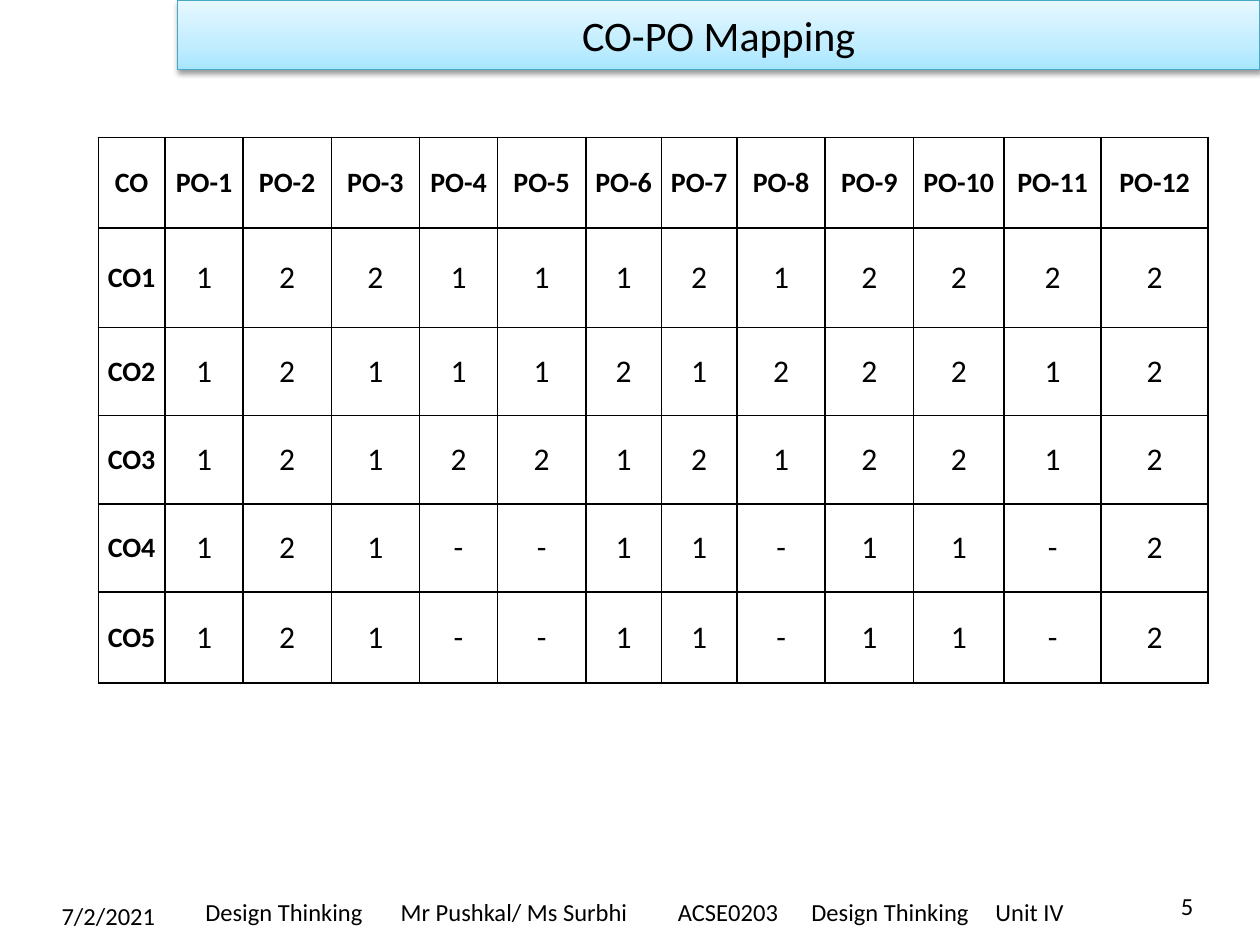
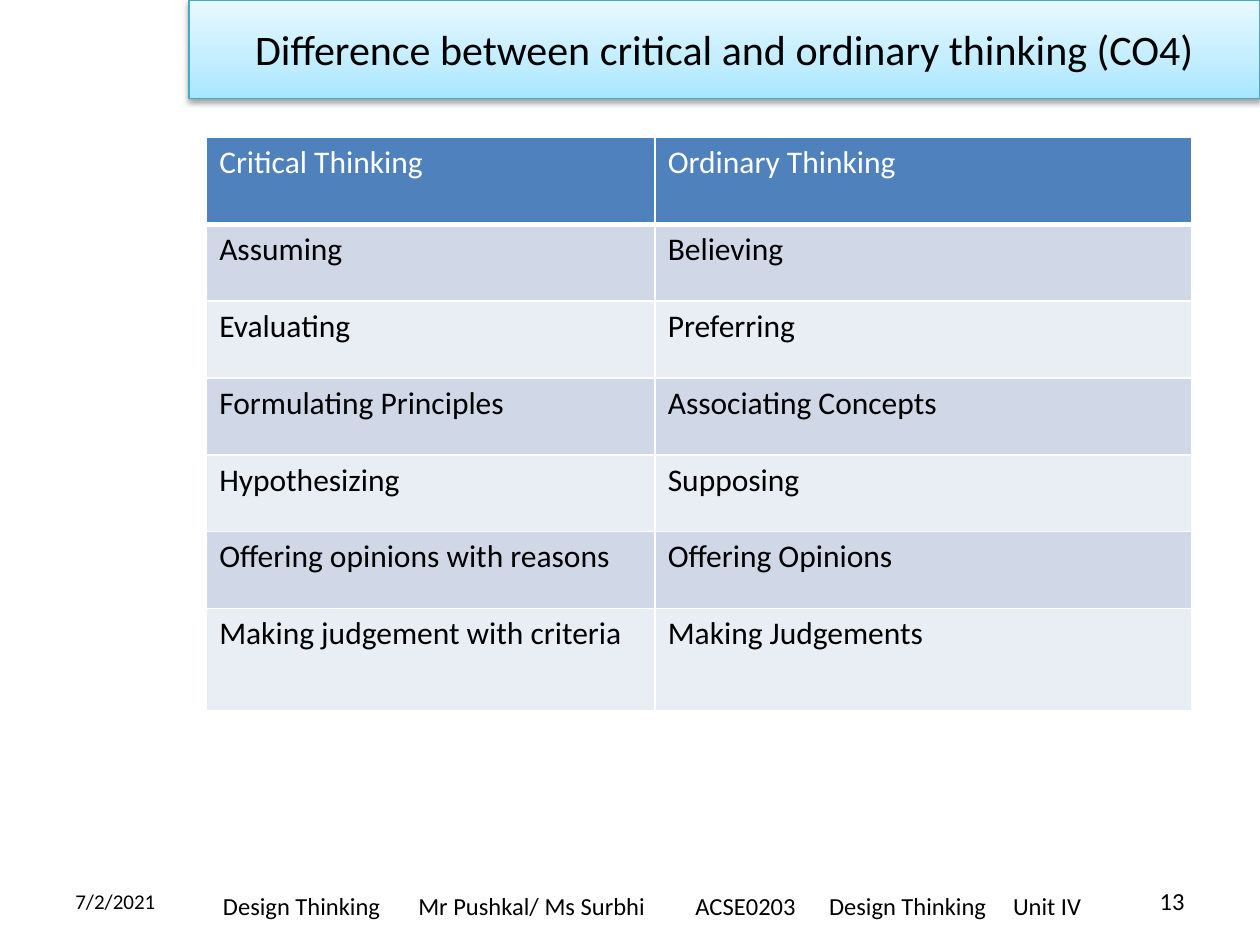
from lxml import etree
from pptx import Presentation
from pptx.dml.color import RGBColor
from pptx.enum.text import MSO_ANCHOR, MSO_AUTO_SIZE, PP_ALIGN
from pptx.oxml.ns import qn
from pptx.util import Inches, Pt

LEFT, CENTER, RIGHT = PP_ALIGN.LEFT, PP_ALIGN.CENTER, PP_ALIGN.RIGHT
TOP, MIDDLE = MSO_ANCHOR.TOP, MSO_ANCHOR.MIDDLE
NO_FIT = MSO_AUTO_SIZE.NONE
TITLE_ONLY = 5

FONT = "Calibri"
BLACK, WHITE = "000000", "FFFFFF"
HEADER_BLUE = "4F81BD"
BAND_FILLS = ("E9EDF4", "D0D8E8")
TITLE_EDGE = "46AAC5"
TITLE_STOPS = ((0, "A7E6FF"), (35, "C1EDFF"), (100, "E7F8FF"))

DATE = "7/2/2021"
FOOTER = "Design Thinking\tMr Pushkal/ Ms Surbhi\tACSE0203\tDesign Thinking\tUnit IV"
FOOTER_TABS = (1.55, 3.75, 4.81, 6.27)
FOOTER_WIDTH = 6.92

MAPPING_COLUMNS = (0.53, 0.62, 0.7, 0.7, 0.62, 0.7, 0.6, 0.6, 0.7, 0.7, 0.72, 0.77, 0.85)
MAPPING_ROWS = (0.72, 0.79, 0.7, 0.7, 0.7, 0.72)
MAPPING_LEVELS = (
    "122111212222",
    "121112122212",
    "121221212212",
    "121--11-11-2",
    "121--11-11-2",
)

THINKING_COLUMNS = (3.56, 4.26)
THINKING_ROWS = (0.69, 0.61, 0.61, 0.61, 0.61, 0.61, 0.81)
THINKING = (
    ("Critical Thinking", "Ordinary Thinking"),
    ("Assuming", "Believing"),
    ("Evaluating", "Preferring"),
    ("Formulating Principles", "Associating Concepts"),
    ("Hypothesizing", "Supposing"),
    ("Offering opinions with reasons", "Offering Opinions"),
    ("Making judgement with criteria", "Making Judgements"),
)


def rgb(color):
    return RGBColor.from_string(color)


def add_color(parent, color):
    return etree.SubElement(parent, qn("a:srgbClr"), val=color)


class LectureDeck:
    def __init__(self):
        self.deck = Presentation()
        self.deck.slide_width = Inches(10)
        self.deck.slide_height = Inches(7.5)
        self.page = None

    def new_page(self):
        layout = self.deck.slide_layouts[TITLE_ONLY]
        self.page = self.deck.slides.add_slide(layout)

    def add_text(self, frame, text, size, align=LEFT, color=BLACK, bold=False):
        para = frame.paragraphs[0]
        para.alignment = align
        span = para.add_run()
        span.text = text
        span.font.name = FONT
        span.font.size = Pt(size)
        span.font.bold = bold
        span.font.color.rgb = rgb(color)
        return para

    def title(self, text, left, height):
        box = self.page.shapes.title
        box.left, box.top = Inches(left), Inches(0)
        box.width, box.height = Inches(10 - left), Inches(height)
        box.fill.gradient()
        box.fill.gradient_angle = 90
        box.line.color.rgb = rgb(TITLE_EDGE)
        box.line.width = Pt(0.75)
        properties = box.element.spPr
        stops = properties.find(qn("a:gradFill")).find(qn("a:gsLst"))
        for stop in list(stops):
            stops.remove(stop)
        for position, color in TITLE_STOPS:
            add_color(etree.SubElement(stops, qn("a:gs"), pos=str(position * 1000)), color)
        effects = etree.SubElement(properties, qn("a:effectLst"))
        shadow = etree.SubElement(effects, qn("a:outerShdw"), blurRad="40000",
                                  dist="20000", dir="5400000", rotWithShape="0")
        etree.SubElement(add_color(shadow, BLACK), qn("a:alpha"), val="38000")
        frame = box.text_frame
        frame.auto_size = NO_FIT
        frame.vertical_anchor = MIDDLE
        self.add_text(frame, text, 24, CENTER)

    def label(self, text, place, size=14, align=LEFT, inset=0.1):
        box = self.page.shapes.add_textbox(*map(Inches, place))
        frame = box.text_frame
        frame.word_wrap = True
        frame.auto_size = NO_FIT
        frame.vertical_anchor = MIDDLE
        frame.margin_left = Inches(inset)
        return self.add_text(frame, text, size, align)

    def footer(self, place):
        inset = (place[2] - FOOTER_WIDTH) / 2
        para = self.label(FOOTER, place, inset=inset)
        tabs = etree.SubElement(para._p.get_or_add_pPr(), qn("a:tabLst"))
        for position in FOOTER_TABS:
            etree.SubElement(tabs, qn("a:tab"), pos=str(Inches(position)), algn="l")

    def table(self, left, top, columns, rows):
        place = (left, top, sum(columns), sum(rows))
        frame = self.page.shapes.add_table(len(rows), len(columns), *map(Inches, place))
        grid = frame.table
        grid.first_row = grid.horz_banding = False
        for column, width in zip(grid.columns, columns):
            column.width = Inches(width)
        for row, height in zip(grid.rows, rows):
            row.height = Inches(height)
        return grid

    def cell(self, cell, text, size, edge, fill=None, anchor=TOP, bottom=1, **style):
        cell.vertical_anchor = anchor
        if fill:
            cell.fill.solid()
            cell.fill.fore_color.rgb = rgb(fill)
        else:
            cell.fill.background()
        properties = cell._tc.get_or_add_tcPr()
        for index, (side, width) in enumerate(zip("LRTB", (1, 1, 1, bottom))):
            line = etree.Element(qn(f"a:ln{side}"), w=str(Pt(width)))
            add_color(etree.SubElement(line, qn("a:solidFill")), edge)
            properties.insert(index, line)
        self.add_text(cell.text_frame, text, size, **style)

    def mapping_table(self):
        grid = self.table(0.78, 1.09, MAPPING_COLUMNS, MAPPING_ROWS)
        values = [["CO"] + [f"PO-{number}" for number in range(1, 13)]]
        values += [[f"CO{number}", *levels] for number, levels in enumerate(MAPPING_LEVELS, 1)]
        for row, texts in enumerate(values):
            for column, text in enumerate(texts):
                cell = grid.cell(row, column)
                cell.margin_left = cell.margin_right = Inches(0.05)
                cell.margin_top = cell.margin_bottom = 0
                heading = row == 0 or column == 0
                self.cell(cell, text, 16 if heading else 18, BLACK, anchor=MIDDLE,
                          align=CENTER, bold=heading)

    def thinking_table(self):
        grid = self.table(1.64, 1.09, THINKING_COLUMNS, THINKING_ROWS)
        for row, texts in enumerate(THINKING):
            heading = row == 0
            for column, text in enumerate(texts):
                self.cell(grid.cell(row, column), text, 18, WHITE,
                          fill=HEADER_BLUE if heading else BAND_FILLS[row % 2],
                          bottom=3 if heading else 1,
                          color=WHITE if heading else BLACK)


def main():
    lecture = LectureDeck()

    lecture.new_page()
    lecture.title("CO-PO Mapping", 1.41, 0.55)
    lecture.label(DATE, (0.39, 7.03, 1.72, 0.47))
    lecture.label("5", (8.98, 7.03, 0.59, 0.31), align=RIGHT)
    lecture.footer((1.35, 6.97, 7.48, 0.53))
    lecture.mapping_table()

    lecture.new_page()
    lecture.title("Difference between critical and ordinary thinking (CO4)", 1.5, 0.78)
    lecture.label(DATE, (0.5, 6.95, 2.33, 0.4), size=12)
    lecture.label("13", (8.98, 6.95, 0.52, 0.4), align=RIGHT)
    lecture.footer((1.4, 6.88, 7.66, 0.62))
    lecture.thinking_table()

    lecture.deck.save("out.pptx")


if __name__ == "__main__":
    main()
